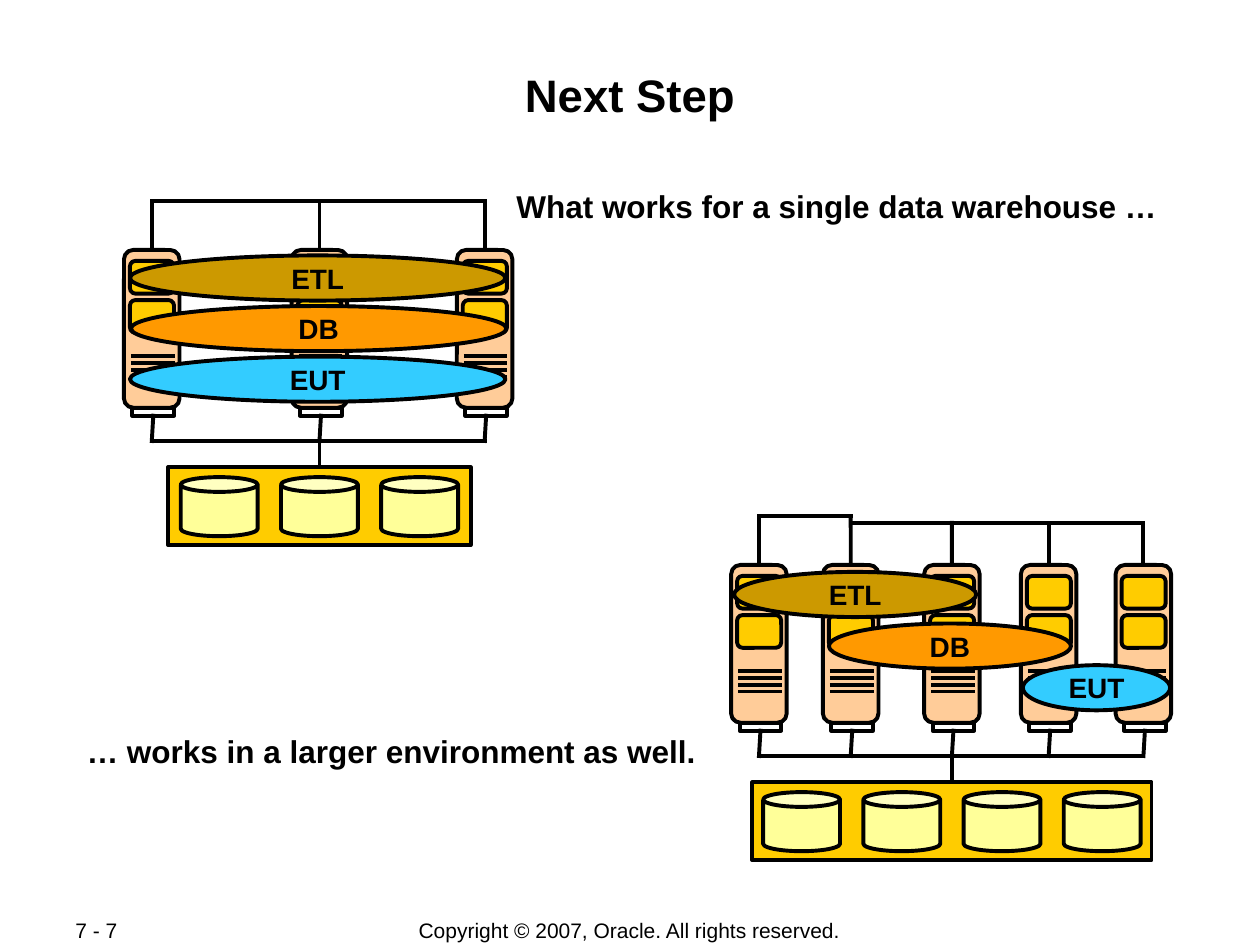
from lxml import etree
from pptx import Presentation
from pptx.dml.color import RGBColor
from pptx.enum import shapes, text
from pptx.oxml import ns
from pptx.util import Cm, Pt

COLOURS = {
    "ink": "000000", "case": "FFCC99", "gold": "FFCC00", "disk": "FFFF99",
    "ETL": "CC9900", "DB": "FF9900", "EUT": "33CCFF",
}
SHAPE = shapes.MSO_SHAPE
ALIGN = text.PP_ALIGN
ANCHOR = text.MSO_ANCHOR
SERVER_WIDTH, SERVER_HEIGHT = 1.12, 3.18
OVAL_HEIGHT = 0.91
LINE_WIDTH = Pt(2.25)


def colour(name):
    return RGBColor.from_string(COLOURS[name])


def add_part(slide, kind, left, top, width, height, fill=None):
    shape = slide.shapes.add_shape(kind, Cm(left), Cm(top), Cm(width), Cm(height))
    shape.shadow.inherit = False
    if fill:
        shape.fill.solid()
        shape.fill.fore_color.rgb = colour(fill)
    else:
        shape.fill.background()
    shape.line.color.rgb = colour("ink")
    shape.line.width = LINE_WIDTH
    return shape


def add_line(slide, x1, y1, x2, y2, cap="flat"):
    line = slide.shapes.add_connector(
        shapes.MSO_CONNECTOR.STRAIGHT, Cm(x1), Cm(y1), Cm(x2), Cm(y2))
    line.line.color.rgb = colour("ink")
    line.line.width = LINE_WIDTH
    properties = line._element.spPr
    properties.find(ns.qn("a:ln")).set("cap", cap)
    etree.SubElement(properties, ns.qn("a:effectLst"))
    return line


def write(shape, words, size, bold=True, align=ALIGN.LEFT):
    shape.text_frame.text = words
    paragraph = shape.text_frame.paragraphs[0]
    paragraph.alignment = align
    font = paragraph.runs[0].font
    font.name, font.size, font.bold = "Arial", Pt(size), bold
    font.color.rgb = colour("ink")
    return paragraph


def set_margins(frame, left=0, top=0, right=0, bottom=0):
    frame.margin_left, frame.margin_top = Cm(left), Cm(top)
    frame.margin_right, frame.margin_bottom = Cm(right), Cm(bottom)


def add_title(slide, left, top, width, height):
    title = slide.shapes.title
    title.left, title.top = Cm(left), Cm(top)
    title.width, title.height = Cm(width), Cm(height)
    write(title, "Next Step", 26, align=ALIGN.CENTER)
    title.text_frame.vertical_anchor = ANCHOR.TOP
    set_margins(title.text_frame, 0.03, 0.13, 0.03, 0.03)


def add_text(slide, words, size, left, top, width, height, bold=True,
             align=ALIGN.LEFT, anchor=ANCHOR.TOP, right=0):
    box = slide.shapes.add_textbox(Cm(left), Cm(top), Cm(width), Cm(height))
    frame = box.text_frame
    frame.word_wrap = True
    frame.vertical_anchor = anchor
    set_margins(frame, 0.25, 0.13, right, 0.13)
    return write(box, words, size, bold, align)


def add_caption(slide, words, left, top, width):
    add_text(slide, words, 18, left, top, width, 0.91).line_spacing = 0.86


def add_footer(slide, left, top):
    add_text(slide, "Copyright © 2007, Oracle. All rights reserved.", 12,
             left + 5.72, top, 11.4, 0.53, False, ALIGN.CENTER, ANCHOR.MIDDLE, 0.25)
    add_text(slide, "7 - 7", 12, left, top, 2.69, 0.51, False,
             anchor=ANCHOR.MIDDLE)


def add_server(slide, left, top):
    """Draw one server; return its case and its foot."""
    case = add_part(slide, SHAPE.ROUNDED_RECTANGLE, left, top,
                    SERVER_WIDTH, SERVER_HEIGHT, "case")
    for row in range(4):
        y = top + 2.13 + row * 0.14
        add_line(slide, left + 0.14, y, left + 1.02, y)
    foot = add_part(slide, SHAPE.RECTANGLE, left + 0.17, top + 3.19, 0.84, 0.15)
    for row in range(2):
        add_part(slide, SHAPE.ROUNDED_RECTANGLE, left + 0.12,
                 top + 0.22 + row * 0.79, 0.89, 0.66, "gold")
    return case, foot


def add_storage(slide, centre, top, width, disk_count):
    left = centre - width / 2
    storage = add_part(slide, SHAPE.RECTANGLE, left, top, width, 1.57, "gold")
    disk_width, step = 1.55, 2.02
    first = centre - ((disk_count - 1) * step + disk_width) / 2
    for index in range(disk_count):
        add_part(slide, SHAPE.CAN, first + index * step, top + 0.2,
                 disk_width, 1.19, "disk")
    return storage


def add_cluster(slide, left, top, offsets, bus_rises, storage_width, disk_count, ovals):
    """Draw servers over shared storage; top is the upper edge of the servers."""
    centres = [left + offset + SERVER_WIDTH / 2 for offset in offsets]
    hub = centres[len(centres) // 2]
    storage = add_storage(slide, hub, top + 4.38, storage_width, disk_count)
    servers = [add_server(slide, left + offset, top) for offset in offsets]

    # Upper network: one span for each pair of neighbours
    for x1, x2, rise in zip(centres, centres[1:], bus_rises):
        add_line(slide, x1, top - rise, x2, top - rise, "sq")
    reach = [bus_rises[0]] + bus_rises
    for x, rise, (case, _) in zip(centres, reach, servers):
        add_line(slide, x, top - rise, x, top, "sq").end_connect(case, 0)

    # Lower network down to the storage
    bus = top + 3.85
    add_line(slide, centres[0], bus, centres[-1], bus, "sq")
    for x, (_, foot) in zip(centres, servers):
        add_line(slide, x, top + 3.34, x, bus, "sq").begin_connect(foot, 2)
    add_line(slide, hub, bus, hub, top + 4.38).end_connect(storage, 0)

    # Workloads spread across the servers
    for name, dx, dy, width in ovals:
        oval = add_part(slide, SHAPE.OVAL, left + dx, top + dy,
                        width, OVAL_HEIGHT, name)
        write(oval, name, 16, align=ALIGN.CENTER)
        oval.text_frame.word_wrap = False
        oval.text_frame.vertical_anchor = ANCHOR.MIDDLE
        set_margins(oval.text_frame)


def main():
    presentation = Presentation()
    presentation.slide_width, presentation.slide_height = Cm(25.4), Cm(19.05)
    slide = presentation.slides.add_slide(presentation.slide_layouts[5])

    add_footer(slide, 1.27, 18.49)
    add_title(slide, 1.7, 1.22, 22, 2.44)

    # Single data warehouse
    add_cluster(slide, 2.5, 5.04, [0, 3.38, 6.71], [0.98, 0.98], 6.1, 3,
                [("ETL", 0.12, 0.11, 7.57), ("DB", 0.14, 1.13, 7.57),
                 ("EUT", 0.12, 2.15, 7.57)])
    # Larger environment
    add_cluster(slide, 14.74, 11.39, [0, 1.85, 3.89, 5.84, 7.75],
                [0.98, 0.85, 0.85, 0.85], 8.05, 4,
                [("ETL", 0.06, 0.14, 4.88), ("DB", 1.97, 1.18, 4.88),
                 ("EUT", 5.88, 2.02, 2.97)])

    add_caption(slide, "What works for a single data warehouse …", 10.16, 3.76, 13.41)
    add_caption(slide, "… works in a larger environment as well.", 1.5, 14.73, 12.78)
    presentation.save("out.pptx")


if __name__ == "__main__":
    main()
